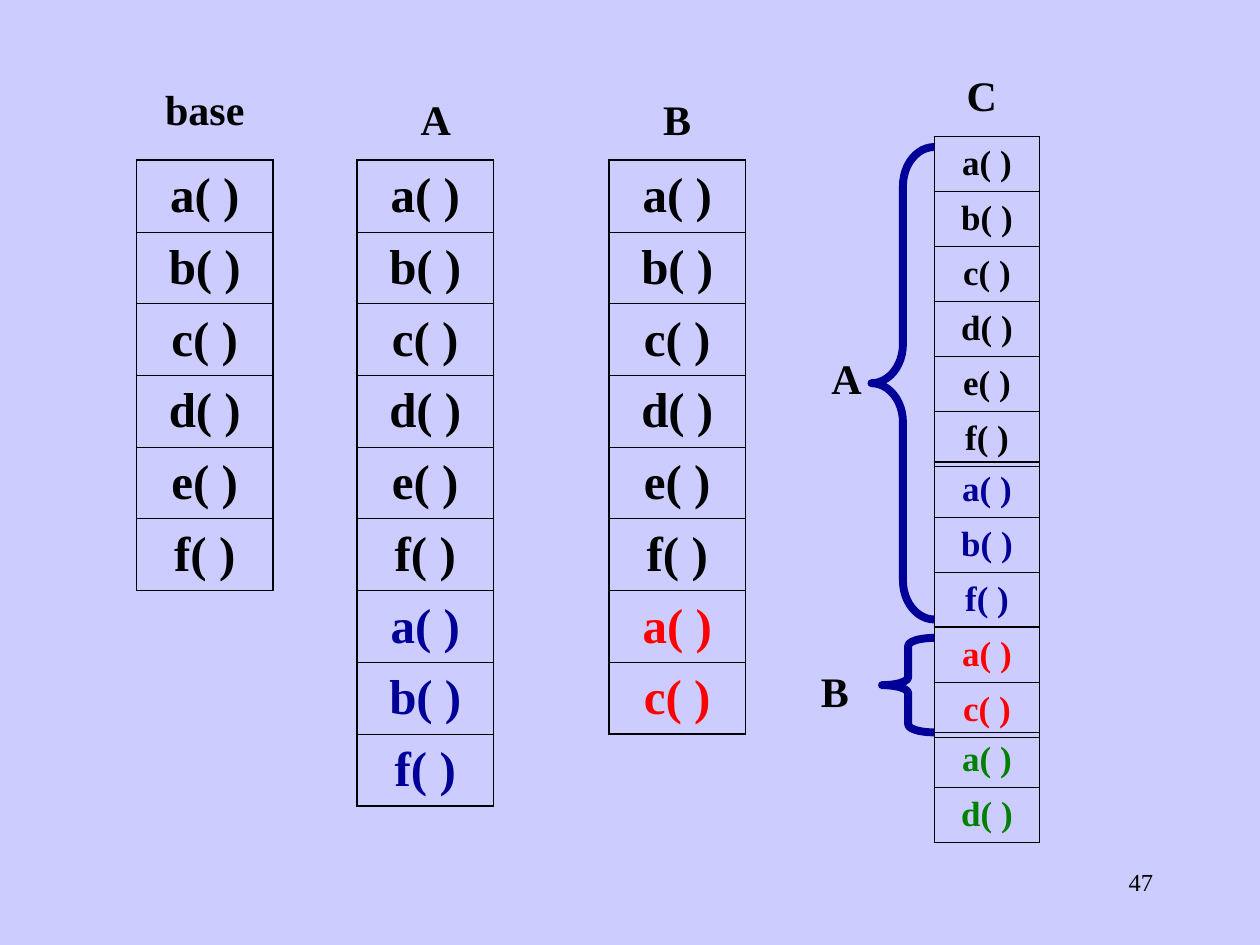
from lxml.etree import SubElement
from pptx import Presentation
from pptx.dml.color import RGBColor
from pptx.enum.shapes import MSO_SHAPE
from pptx.enum.text import MSO_ANCHOR, PP_ALIGN
from pptx.oxml.ns import qn
from pptx.util import Pt

FONT = "Times New Roman"
BLACK = RGBColor(0x00, 0x00, 0x00)
BLUE = RGBColor(0x00, 0x00, 0x99)
RED = RGBColor(0xFF, 0x00, 0x00)
GREEN = RGBColor(0x00, 0x80, 0x00)
LAVENDER = RGBColor(0xCC, 0xCC, 0xFF)

OUTER, INNER = 1.08, 0.45


def write(tf, text, size=24, color=BLACK, bold=True, align=PP_ALIGN.CENTER):
    p = tf.paragraphs[0]
    p.alignment = align
    r = p.add_run()
    r.text = text
    r.font.name = FONT
    r.font.size = Pt(size)
    r.font.bold = bold
    r.font.color.rgb = color


def border(cell, side, width):
    tc_pr = cell._tc.get_or_add_tcPr()
    ln = SubElement(tc_pr, qn(f"a:ln{side}"), w=str(Pt(width)))
    fill = SubElement(ln, qn("a:solidFill"))
    SubElement(fill, qn("a:srgbClr"), val=str(BLACK))


class Board:
    """Holds the slide and draws method tables, labels and braces in points."""

    def __init__(self, slide):
        self.slide = slide
        fill = slide.background.fill
        fill.solid()
        fill.fore_color.rgb = LAVENDER

    def label(self, text, x, y, w=78, h=36, **style):
        tf = self.slide.shapes.add_textbox(Pt(x), Pt(y), Pt(w), Pt(h)).text_frame
        tf.word_wrap = True
        write(tf, text, **style)

    def methods(self, letters, x, y, w=78, row_h=41, size=28, color=BLACK):
        """One-column table with a row such as "a( )" for each letter."""
        n = len(letters)
        table = self.slide.shapes.add_table(
            n, 1, Pt(x), Pt(y), Pt(w), Pt(n * row_h)).table
        table.first_row = table.horz_banding = False
        for i, letter in enumerate(letters):
            table.rows[i].height = Pt(row_h)
            cell = table.cell(i, 0)
            cell.vertical_anchor = MSO_ANCHOR.MIDDLE
            border(cell, "L", OUTER)
            border(cell, "R", OUTER)
            border(cell, "T", OUTER if i == 0 else INNER)
            border(cell, "B", OUTER if i == n - 1 else INNER)
            cell.fill.background()
            write(cell.text_frame, f"{letter}( )", size=size, color=color)

    def brace(self, x, y, w, h, curve):
        sp = self.slide.shapes.add_shape(
            MSO_SHAPE.LEFT_BRACE, Pt(x), Pt(y), Pt(w), Pt(h))
        sp.adjustments[0] = curve
        sp.shadow.inherit = False
        sp.fill.background()
        sp.line.color.rgb = BLUE
        sp.line.width = Pt(4.5)


def main():
    prs = Presentation()
    prs.slide_width, prs.slide_height = Pt(720), Pt(540)
    board = Board(prs.slides.add_slide(prs.slide_layouts[6]))

    board.label("47", 516, 492, w=150, size=14, bold=False, align=PP_ALIGN.RIGHT)

    for x in (78, 204, 348):
        board.methods("abcdef", x, 91.5)
    board.methods("abf", 204, 337.5, color=BLUE)
    board.methods("ac", 348, 337.5, color=RED)

    for letters, y, color in (("abcdef", 78, BLACK), ("abf", 264, BLUE),
                              ("ac", 358.5, RED), ("ad", 418.5, GREEN)):
        board.methods(letters, 534, y, w=60, row_h=31.44, size=20, color=color)

    for text, x, y in (("base", 78, 44), ("A", 210, 50),
                       ("B", 348, 50), ("C", 522, 36)):
        board.label(text, x, y)

    board.brace(498, 84, 36, 270, 0.62)
    board.label("A", 468, 198, w=36, align=PP_ALIGN.LEFT)
    board.brace(504, 364.5, 30, 54, 0.15)
    board.label("B", 462, 376.5, w=42, align=PP_ALIGN.LEFT)

    prs.save("out.pptx")


if __name__ == "__main__":
    main()
